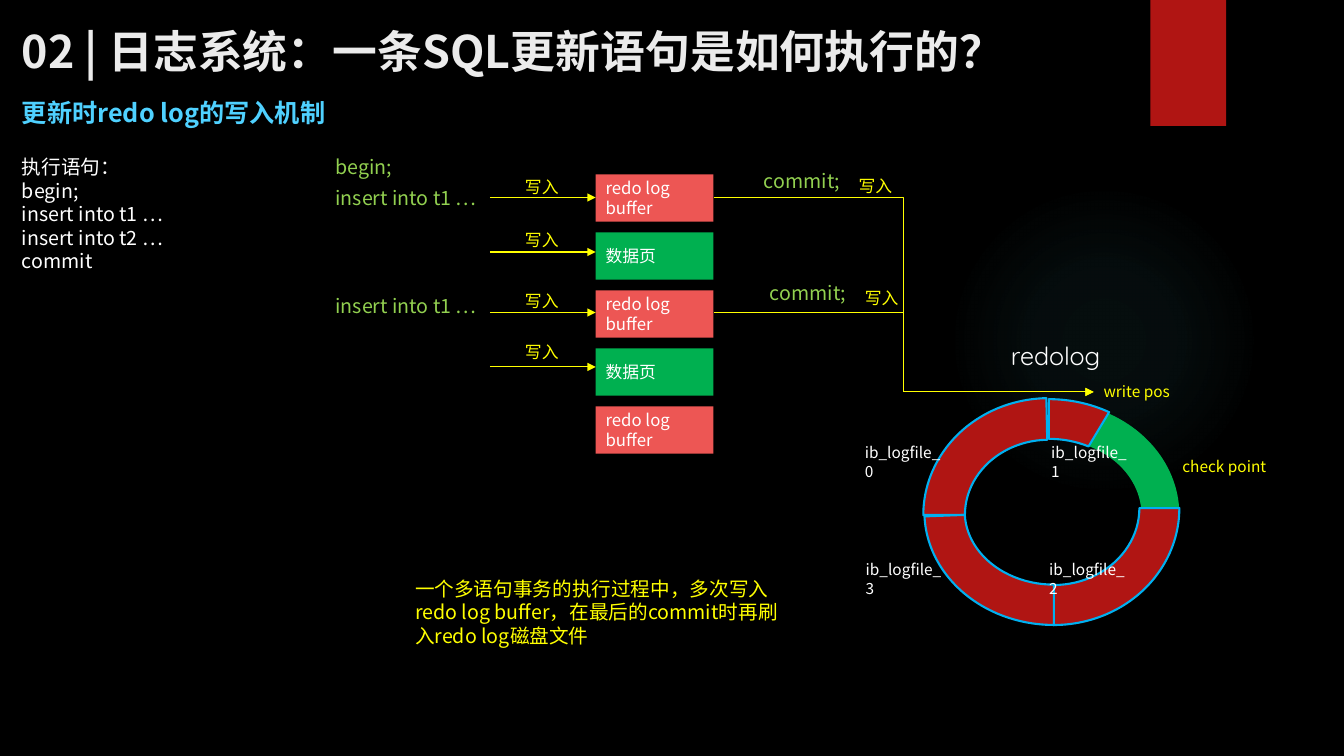
from pptx import Presentation
from pptx.dml.color import RGBColor
from pptx.enum.shapes import MSO_CONNECTOR as Link, MSO_SHAPE as Form
from pptx.enum.text import MSO_ANCHOR as Anchor, PP_ALIGN as Align
from pptx.oxml import parse_xml
from pptx.oxml.ns import nsdecls
from pptx.util import Pt
from lxml import etree

# Content
FONT = "Noto Sans CJK SC"
WHITE, YELLOW, GREEN, LIME = "FFFFFF", "FFFF00", "00B050", "92D050"
RED, CORAL, BLUE = "B01513", "ED5654", "00B0F0"

TITLE = "02 | 日志系统：一条SQL更新语句是如何执行的？"
HEAD = "更新时redo log的写入机制"
STEPS = ["执行语句：", "begin;", "insert into t1 …", "insert into t2 …", "commit"]
NOTE = "一个多语句事务的执行过程中，多次写入redo log buffer，在最后的commit时再刷入redo log磁盘文件"
LOG, PAGE = ("redo log buffer", CORAL), ("数据页", GREEN)
STACK = [LOG, PAGE, LOG, PAGE, LOG]

# Code words: text, left, top, width
CODE = [
    ("begin;", 232.6, 107.3, 58),
    ("insert into t1 …", 232.6, 129.6, 118),
    ("insert into t1 …", 232.6, 206.6, 118),
    ("commit;", 538.6, 117.4, 70),
    ("commit;", 542.9, 197.3, 70),
]
# Arrows into the stack: line height, label top
WRITES = [(141.1, 122.4), (180, 160.6), (223.2, 204.5), (262.1, 240.5)]
# Labels on the commit lines: left, top
FLUSH = [(606.2, 121.7), (610.6, 202.3)]
# Ring parts: left, top, width, height, turn, end angle, thickness, fill, line
RING = [
    (668.9, 275, 162, 185, 90, 160.64, 0.167, GREEN, None),
    (659.5, 284.4, 179.3, 167, 0, 161.28, 0.178, RED, BLUE),
    (668.2, 273.6, 162, 185, 90, 126.58, 0.175, RED, BLUE),
    (663.1, 279.4, 179.3, 167, 180, 162.26, 0.171, RED, BLUE),
    (671.8, 272.9, 162, 185, 270, 160.72, 0.178, RED, BLUE),
]
# Ring labels: text, left, top, width, colour
MARKS = [
    ("check point", 837.4, 323.3, 104.4, YELLOW),
    ("write pos", 781.2, 269.3, 104.4, YELLOW),
    ("ib_logfile_0", 610.6, 313.2, 74, WHITE),
    ("ib_logfile_1", 743.8, 313.2, 74, WHITE),
    ("ib_logfile_2", 742.3, 396.7, 74, WHITE),
    ("ib_logfile_3", 611.3, 396.7, 74, WHITE),
]

# Layout, in points
STACK_X, STACK_Y, STACK_W, STACK_H, STEP = 425.5, 124.6, 84.2, 33.8, 41.4
ARROW_X, WRITE_X = 349.9, 367.9
POS_X, POS_Y = 781.2, 280

deck = Presentation()
deck.slide_width, deck.slide_height = Pt(960), Pt(540)
slide = deck.slides.add_slide(deck.slide_layouts[6])
shapes = slide.shapes


def paint(target, hue):
    target.solid()
    target.fore_color.rgb = RGBColor.from_string(hue)


def write(shape, text, size, hue, font=FONT, bold=False, anchor=Anchor.TOP):
    frame = shape.text_frame
    frame.text = text
    frame.word_wrap = True
    frame.vertical_anchor = anchor
    for para in frame.paragraphs:
        para.alignment = Align.LEFT
        for run in para.runs:
            run.font.size, run.font.bold, run.font.name = Pt(size), bold, font
            paint(run.font.fill, hue)
            east = etree.SubElement(run.font._element, run.font._element.find("{*}latin").tag.replace("latin", "ea"))
            east.set("typeface", font)


def label(text, x, y, w, h, size, hue, **style):
    box = shapes.add_textbox(Pt(x), Pt(y), Pt(w), Pt(h))
    write(box, text, size, hue, **style)


def block(form, x, y, w, h, fill, line=None):
    shape = shapes.add_shape(form, Pt(x), Pt(y), Pt(w), Pt(h))
    shape.shadow.inherit = False
    paint(shape.fill, fill)
    if line:
        paint(shape.line.fill, line)
        shape.line.width = Pt(1.5)
    else:
        shape.line.fill.background()
    return shape


def arrow(kind, x, y, end_x, end_y):
    link = shapes.add_connector(kind, Pt(x), Pt(y), Pt(end_x), Pt(end_y))
    paint(link.line.fill, YELLOW)
    link.line.width = Pt(0.75)
    link.line._get_or_add_ln().append(parse_xml(f'<a:tailEnd {nsdecls("a")} type="triangle"/>'))
    link._element.spPr.append(parse_xml(f'<a:effectLst {nsdecls("a")}/>'))


# Backdrop: soft glow and red tab
paint(slide.background.fill, "000000")
glow = block(Form.OVAL, 677.5, 131.8, 221.8, 221.8, "50B9C1")
stops = "".join(
    f'<a:gs pos="{pos}000"><a:srgbClr val="50B9C1"><a:alpha val="{alpha}000"/></a:srgbClr></a:gs>'
    for pos, alpha in [(0, 7), (36, 6), (69, 0)]
)
solid = glow._element.spPr.find("{*}solidFill")
solid.getparent().replace(solid, parse_xml(
    f'<a:gradFill {nsdecls("a")}><a:gsLst>{stops}</a:gsLst><a:path path="circle">'
    '<a:fillToRect l="50000" t="50000" r="50000" b="50000"/></a:path></a:gradFill>'
))
block(Form.RECTANGLE, 821.8, 0, 54, 90, RED)

# Headings and statements
label(TITLE, 8.6, 12.2, 741, 47.5, 32, "EBEBEB", bold=True, anchor=Anchor.MIDDLE)
label(HEAD, 8.6, 66.2, 236.9, 29, 18, "4FD1FF", bold=True)
label("\n".join(STEPS), 8.6, 107.3, 118, 92, 14, WHITE)
for text, x, y, w in CODE:
    label(text, x, y, w, 24.5, 14, LIME)

# Stack of buffers and pages
for i, (text, hue) in enumerate(STACK):
    box = block(Form.RECTANGLE, STACK_X, STACK_Y + i * STEP, STACK_W, STACK_H, hue)
    write(box, text, 12, WHITE, anchor=Anchor.MIDDLE)

# Log file ring
for x, y, w, h, turn, end, thick, fill, line in RING:
    arc = block(Form.BLOCK_ARC, x, y, w, h, fill, line)
    arc.rotation = turn
    for i, value in enumerate((108, end, thick)):
        arc.adjustments[i] = value
for text, x, y, w, hue in MARKS:
    label(text, x, y, w, 21, 11, hue)
label("redolog", 715, 239.8, 84.2, 29, 18, WHITE, font="Quicksand")

# Writes into the stack, then commits into the ring
for y, top in WRITES:
    arrow(Link.STRAIGHT, ARROW_X, y, STACK_X, y)
for y, top in WRITES[::2]:
    arrow(Link.ELBOW, STACK_X + STACK_W, y, POS_X, POS_Y)
for x, y in [(WRITE_X, top) for y, top in WRITES] + FLUSH:
    label("写入", x, y, 39.5, 21.6, 12, YELLOW)
label(NOTE, 289.4, 408.2, 285.1, 58.3, 14, YELLOW)

deck.save("out.pptx")
